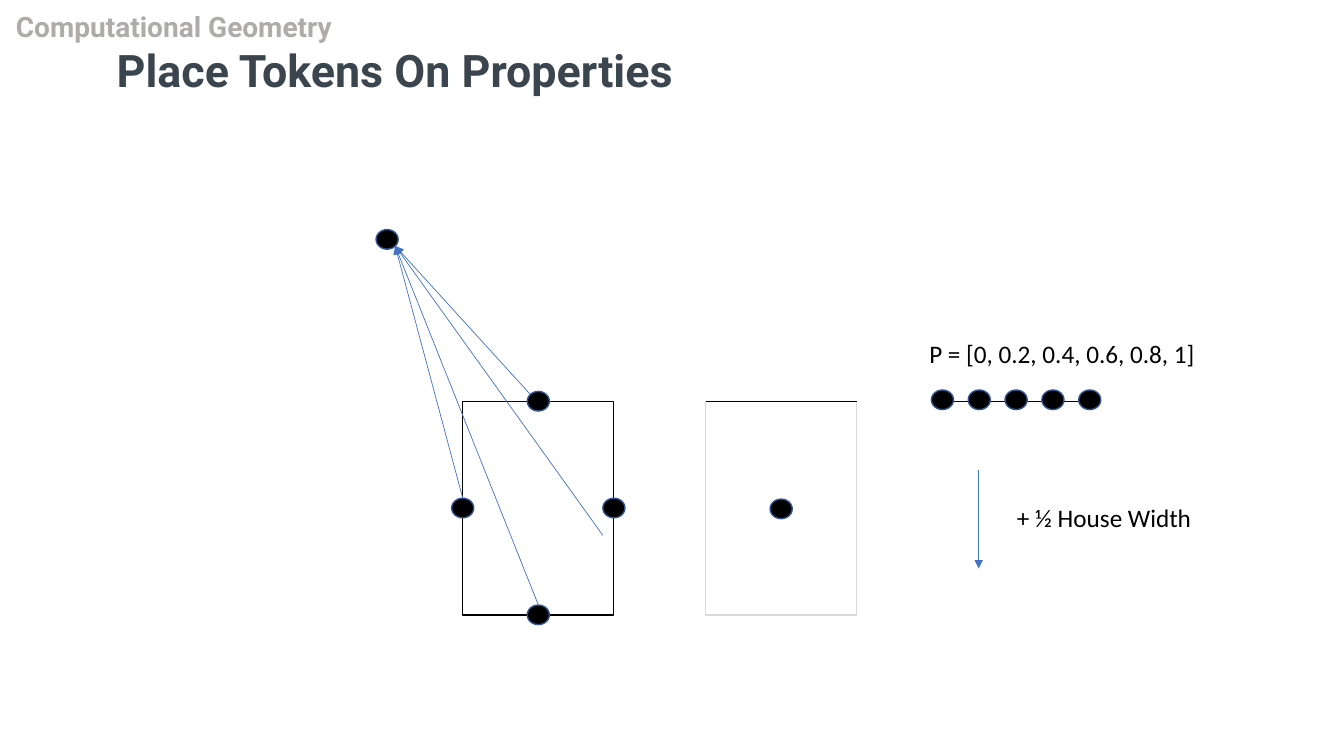
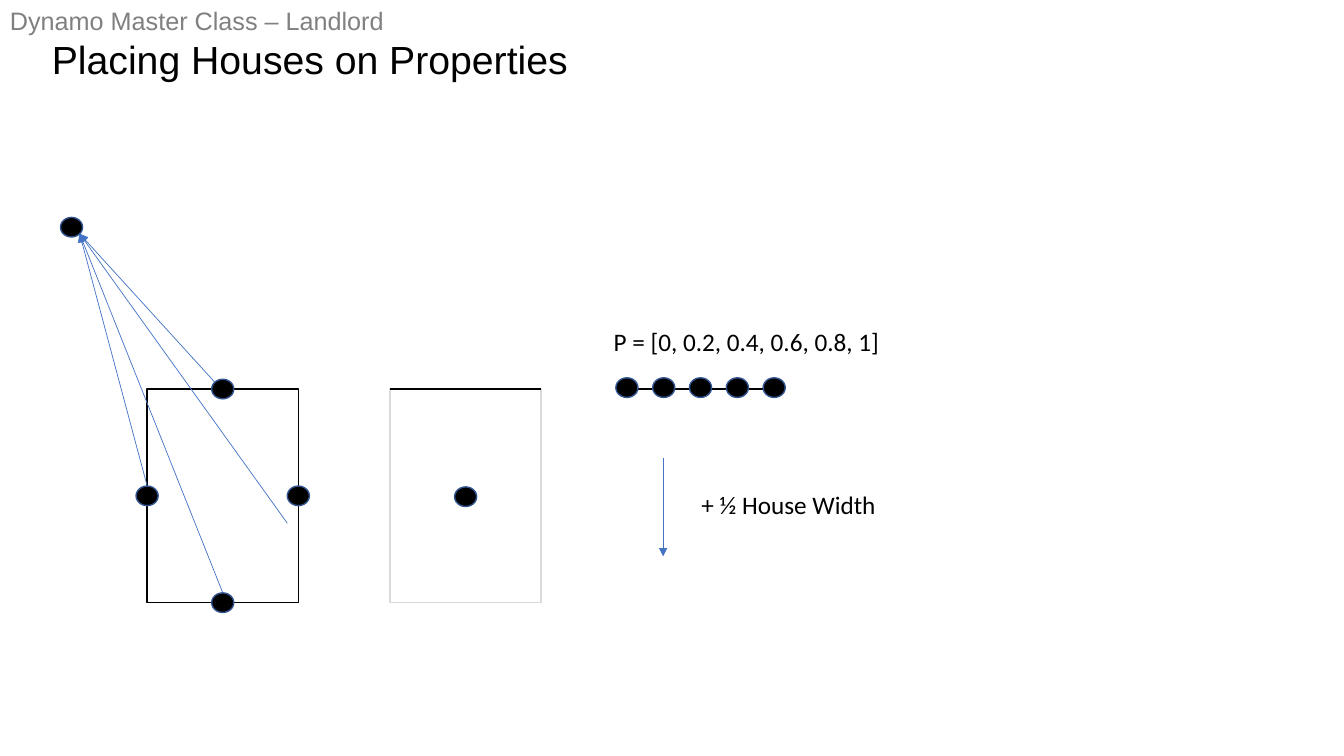
from lxml import etree
from pptx import Presentation
from pptx.dml.color import RGBColor
from pptx.enum.shapes import MSO_CONNECTOR as Connector, MSO_SHAPE as Shape
from pptx.oxml.ns import qn
from pptx.util import Pt

COLORS = {
    "black": "000000",
    "white": "FFFFFF",
    "light_gray": "D9D9D9",
    "token_line": "325491",
    "arrow": "4472C4",
    "topic_bold": "AFABAB",
    "title_bold": "3B454E",
    "topic_plain": "808080",
}
HOUSE_WIDTH, HOUSE_HEIGHT = 108, 152.6
TOKEN_WIDTH, TOKEN_HEIGHT = 15.8, 14
TOKEN_PITCH, TOKEN_COUNT = 26.3, 5


def color(name):
    return RGBColor.from_string(COLORS[name])


def add_text(slide, left, top, width, height, lines):
    box = slide.shapes.add_textbox(Pt(left), Pt(top), Pt(width), Pt(height))
    frame = box.text_frame
    frame.word_wrap = True
    for index, (text, size, font_name, color_name, bold, indent) in enumerate(lines):
        paragraph = frame.add_paragraph() if index else frame.paragraphs[0]
        paragraph.text = text
        if indent:
            paragraph._p.get_or_add_pPr().set("marL", str(Pt(indent)))
        font = paragraph.font
        font.size, font.name, font.bold = Pt(size), font_name, bold
        font.color.rgb = color(color_name)


def add_label(slide, left, top, width, text):
    add_text(slide, left, top, width, 28.8, [(text, 18, "Calibri", "black", False, 0)])


def add_outlined(slide, kind, left, top, width, height, fill, line):
    shape = slide.shapes.add_shape(kind, Pt(left), Pt(top), Pt(width), Pt(height))
    shape.shadow.inherit = False
    shape.fill.solid()
    shape.fill.fore_color.rgb = color(fill)
    shape.line.color.rgb = color(line)
    shape.line.width = Pt(1)


def add_house(slide, left, top, line):
    add_outlined(slide, Shape.RECTANGLE, left, top, HOUSE_WIDTH, HOUSE_HEIGHT, "white", line)


def add_token(slide, center_x, center_y):
    add_outlined(slide, Shape.OVAL, center_x - TOKEN_WIDTH / 2, center_y - TOKEN_HEIGHT / 2,
                 TOKEN_WIDTH, TOKEN_HEIGHT, "black", "token_line")


def add_line(slide, start, end, line="black", width=1, arrow=False):
    connector = slide.shapes.add_connector(
        Connector.STRAIGHT, *(Pt(value) for value in (*start, *end)))
    connector.line.color.rgb = color(line)
    connector.line.width = Pt(width)
    if arrow:
        tail = etree.SubElement(connector.line._get_or_add_ln(), qn("a:tailEnd"))
        tail.set("type", "triangle")
    etree.SubElement(connector._element.spPr, qn("a:effectLst"))


def add_arrow(slide, start, end):
    add_line(slide, start, end, "arrow", 0.5, True)


def add_diagram(slide, left, top):
    middle_x, middle_y = left + HOUSE_WIDTH / 2, top + HOUSE_HEIGHT / 2
    right, bottom = left + HOUSE_WIDTH, top + HOUSE_HEIGHT

    add_house(slide, left, top, "black")
    edge_centers = [(middle_x, top), (middle_x, bottom), (right, middle_y), (left, middle_y)]
    for center in [(left - 54, top - 115.6), *edge_centers]:
        add_token(slide, *center)
    arrow_starts = [(left + 48.2, top - 5), (left, top + 69.1),
                    (left + 100.1, top + 95.8), (middle_x, top + 145.4)]
    for start in arrow_starts:
        add_arrow(slide, start, (left - 48.2, top - 110.9))

    second_left = left + 173.5
    add_house(slide, second_left, top, "light_gray")
    add_line(slide, (second_left, top), (second_left + HOUSE_WIDTH, top))
    add_token(slide, second_left + HOUSE_WIDTH / 2, middle_y + 0.6)

    row_left = left + 334.8
    add_line(slide, (row_left, top), (row_left + HOUSE_WIDTH, top))
    for index in range(TOKEN_COUNT):
        add_token(slide, row_left + TOKEN_WIDTH / 2 + index * TOKEN_PITCH, top - 1)
    add_label(slide, left + 326.2, top - 48.2, 206, "P = [0, 0.2, 0.4, 0.6, 0.8, 1]")
    add_arrow(slide, (left + 368.6, top + 49), (left + 368.6, top + 119.5))
    add_label(slide, left + 388.8, top + 68.4, 142, "+ ½ House Width")


def main():
    presentation = Presentation()
    presentation.slide_width, presentation.slide_height = Pt(960), Pt(540)
    pages = [
        ((4.3, 2.9, 833, 70.6), (330.5, 286.6), [
            ("Computational Geometry", 20, "Roboto", "topic_bold", True, 0),
            ("Place Tokens On Properties", 32, "Roboto", "title_bold", True, 72)]),
        ((0, 0, 433.4, 63.4), (105.1, 277.9), [
            ("Dynamo Master Class – Landlord", 18, "Arial", "topic_plain", False, 0),
            ("Placing Houses on Properties", 28, "Arial", "black", False, 30)]),
    ]
    for title_box, diagram_corner, title_lines in pages:
        slide = presentation.slides.add_slide(presentation.slide_layouts[6])
        add_text(slide, *title_box, title_lines)
        add_diagram(slide, *diagram_corner)
    presentation.save("out.pptx")


if __name__ == "__main__":
    main()
